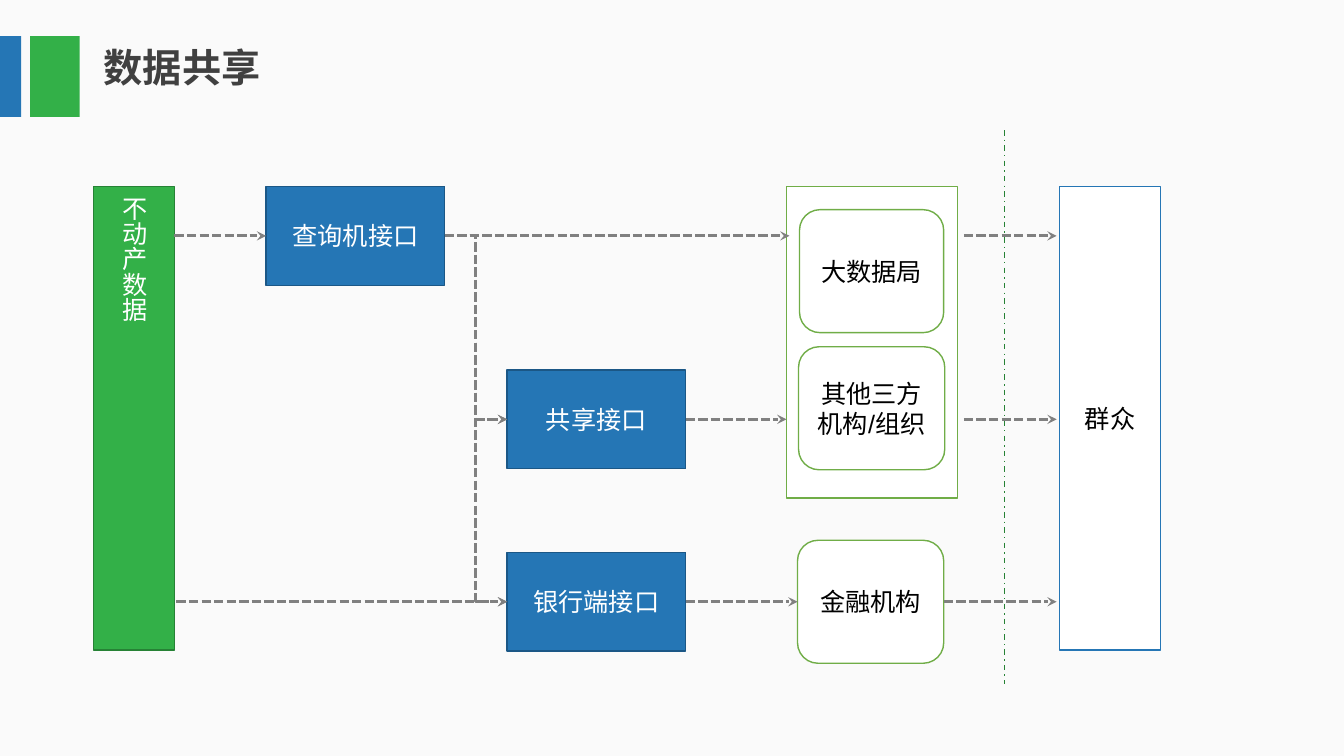
from lxml.etree import SubElement
from pptx import Presentation
from pptx.dml.color import RGBColor
from pptx.enum.dml import MSO_LINE_DASH_STYLE as Dash
from pptx.enum.shapes import MSO_CONNECTOR as Connector, MSO_SHAPE as Shape
from pptx.enum.text import MSO_ANCHOR as Anchor, PP_ALIGN as Align
from pptx.oxml.ns import qn
from pptx.util import Pt

PX = 9144  # 100 px to the inch
COLORS = {
    "paper": "FAFAFA", "white": "FFFFFF", "black": "000000", "title": "404040",
    "green": "33B048", "dark_green": "268235", "leaf": "70AD47",
    "blue": "2576B5", "dark_blue": "1B5786", "gray": "808080",
}
LATIN, CHINESE = "Arial", "Noto Sans CJK SC"
INTERFACE = (Shape.FLOWCHART_PROCESS, "blue", "dark_blue", "white")
AGENCY = (Shape.FLOWCHART_ALTERNATE_PROCESS, "white", "leaf", "black")
TOP_ROW, MIDDLE_ROW, BOTTOM_ROW = 234, 416, 597


def color(name):
    return RGBColor.from_string(COLORS[name])


def px(*lengths):
    return [length * PX for length in lengths]


def write(shape, text, ink, align=Align.CENTER, anchor=Anchor.MIDDLE, **font):
    frame = shape.text_frame
    frame.word_wrap = True
    frame.vertical_anchor = anchor
    para = frame.paragraphs[0]
    para.alignment = align
    span = para.add_run()
    span.text = text
    for key, value in {"size": Pt(18), "name": LATIN, **font}.items():
        setattr(span.font, key, value)
    span.font.color.rgb = color(ink)
    SubElement(span.font._element, qn("a:ea"), typeface=CHINESE)


def add_title(page, text):
    title = page.shapes.title
    places = zip(("left", "top", "width", "height"), px(93, 38, 360, 57))
    for key, value in places:
        setattr(title, key, value)
    write(title, text, "title", Align.LEFT, Anchor.TOP,
          size=Pt(28), name=CHINESE, bold=True)


def add_box(page, place, style, text=""):
    """Style is preset, fill, outline (or None) and ink."""
    preset, fill, outline, ink = style
    box = page.shapes.add_shape(preset, *px(*place))
    box.shadow.inherit = False
    box.fill.solid()
    box.fill.fore_color.rgb = color(fill)
    if outline:
        box.line.color.rgb = color(outline)
        box.line.width = Pt(1)
    else:
        box.line.fill.background()
    if text:
        write(box, text, ink)
    return box


def add_line(page, ends, ink, width, dash, kind=Connector.STRAIGHT):
    line = page.shapes.add_connector(kind, *px(*ends))
    line.line.color.rgb = color(ink)
    line.line.width = Pt(width)
    line.line.dash_style = dash
    SubElement(line._element.spPr, qn("a:effectLst"))
    return line


def add_arrow(page, ends, source=None, target=None, kind=Connector.STRAIGHT):
    """Join the right side of source and the left side of target, if given."""
    arrow = add_line(page, ends, "gray", 2.25, Dash.SQUARE_DOT, kind)
    SubElement(arrow.line._get_or_add_ln(), qn("a:tailEnd"), type="stealth")
    if source:
        arrow.begin_connect(source, 3)
    if target:
        arrow.end_connect(target, 1)


def main():
    deck = Presentation()
    deck.slide_width, deck.slide_height = px(1333, 750)
    page = deck.slides.add_slide(deck.slide_layouts[5])
    page.background.fill.solid()
    page.background.fill.fore_color.rgb = color("paper")

    add_title(page, "数据共享")
    for left, width, fill in ((30, 49, "green"), (0, 21, "blue")):
        add_box(page, (left, 36, width, 80), (Shape.RECTANGLE, fill, None, None))

    estate = add_box(page, (93, 185, 80, 460),
                     (Shape.RECTANGLE, "green", "dark_green", "white"), "不动产数据")
    estate.text_frame._txBody.bodyPr.set("vert", "eaVert")
    query, sharing, bank = [
        add_box(page, (left, row - 49, 177, 98), INTERFACE, text)
        for left, row, text in ((264, TOP_ROW, "查询机接口"),
                                (503, MIDDLE_ROW, "共享接口"),
                                (503, BOTTOM_ROW, "银行端接口"))]
    add_box(page, (780, 185, 170, 309), (Shape.RECTANGLE, "white", "leaf", None))
    finance = [
        add_box(page, (left, top, width, 122), AGENCY, text)
        for left, top, width, text in ((793, 208, 143, "大数据局"),
                                       (792, 344, 145, "其他三方机构/组织"),
                                       (791, 536, 145, "金融机构"))][-1]
    add_box(page, (1051, 185, 100, 460),
            (Shape.RECTANGLE, "white", "blue", "black"), "群众")
    add_line(page, (996, 129, 996, 679), "dark_green", 1, Dash.DASH_DOT)

    for left, right, row, source, target in (
            (173, 264, TOP_ROW, None, query),
            (175, 503, BOTTOM_ROW, None, bank),
            (441, 783, TOP_ROW, query, None),
            (680, 791, BOTTOM_ROW, bank, finance),
            (680, 780, MIDDLE_ROW, sharing, None),
            (472, 503, MIDDLE_ROW, None, sharing),
            (936, 1048, BOTTOM_ROW, finance, None),
            (956, 1048, MIDDLE_ROW, None, None),
            (956, 1048, TOP_ROW, None, None)):
        add_arrow(page, (left, row, right, row), source, target)
    for target, row in ((sharing, MIDDLE_ROW), (bank, BOTTOM_ROW)):
        add_arrow(page, (441, TOP_ROW, 503, row), query, target, Connector.ELBOW)

    deck.save("out.pptx")


if __name__ == "__main__":
    main()
